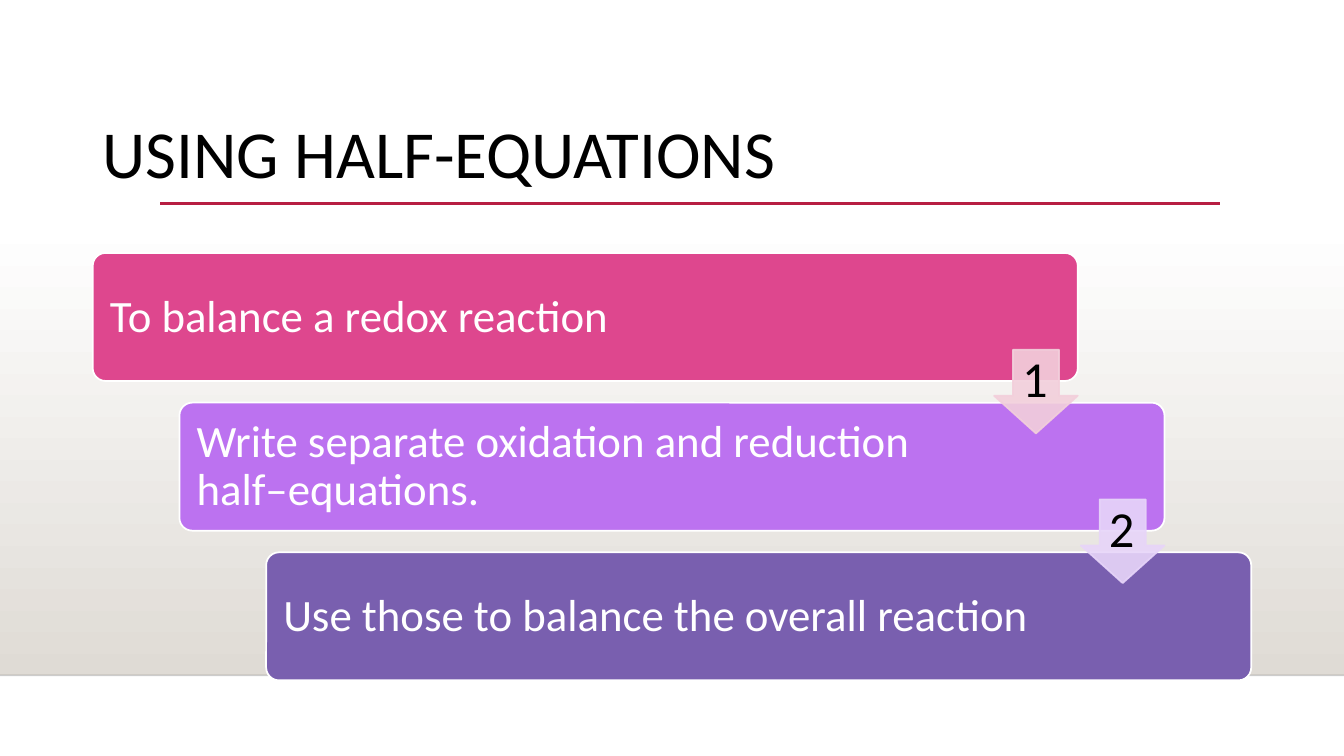
import pptx
import pptx.util
import pptx.dml.color
import pptx.enum.shapes
import pptx.enum.text
import pptx.oxml
import pptx.oxml.ns

Inches = pptx.util.Inches
Pt = pptx.util.Pt
RGBColor = pptx.dml.color.RGBColor
SHAPE = pptx.enum.shapes.MSO_SHAPE
ANCHOR = pptx.enum.text.MSO_ANCHOR
ALIGN = pptx.enum.text.PP_ALIGN

WHITE = RGBColor(0xFF, 0xFF, 0xFF)
BLACK = RGBColor(0x00, 0x00, 0x00)
FLOOR = RGBColor(0xDF, 0xDB, 0xD5)
CRIMSON = RGBColor(0xB7, 0x1E, 0x42)
PINK = RGBColor(0xDE, 0x47, 0x8E)
VIOLET = RGBColor(0xBC, 0x72, 0xF0)
PURPLE = RGBColor(0x79, 0x5F, 0xAF)
PALE_PINK = RGBColor(0xF2, 0xCF, 0xDB)
PALE_VIOLET = RGBColor(0xE7, 0xD5, 0xF9)

STEPS = [
    ("To balance a redox reaction", PINK, 8.39),
    ("Write separate oxidation and reduction half–equations.", VIOLET, 8),
    ("Use those to balance the overall reaction", PURPLE, 8),
]
ARROWS = [("1", PALE_PINK), ("2", PALE_VIOLET)]
STEP_WIDTH, STEP_HEIGHT = 9.77, 1.27
SHIFT_X, SHIFT_Y = 0.86, 1.485
ARROW_SIZE = 0.83


def set_opacity(color_format, percent):
    parent = color_format.find(".//" + pptx.oxml.ns.qn("a:srgbClr"))
    alpha = pptx.oxml.parse_xml(
        f'<a:alpha {pptx.oxml.ns.nsdecls("a")} val="{percent * 1000}"/>')
    parent.append(alpha)


def add_rule(page, left, right, top, color, width, opacity=100):
    rule = page.shapes.add_connector(
        pptx.enum.shapes.MSO_CONNECTOR.STRAIGHT,
        Inches(left), Inches(top), Inches(right), Inches(top))
    rule.line.color.rgb = color
    rule.line.width = Pt(width)
    properties = rule._element.spPr
    if opacity < 100:
        set_opacity(properties.find(pptx.oxml.ns.qn("a:ln")), opacity)
    properties.append(pptx.oxml.parse_xml(
        f'<a:effectLst {pptx.oxml.ns.nsdecls("a")}/>'))


def add_shape(page, kind, left, top, width, height, fill, line, adjustments):
    shape = page.shapes.add_shape(
        kind, Inches(left), Inches(top), Inches(width), Inches(height))
    shape.shadow.inherit = False
    for index, value in enumerate(adjustments):
        shape.adjustments[index] = value
    shape.fill.solid()
    shape.fill.fore_color.rgb = fill
    shape.line.color.rgb = line
    shape.line.width = Pt(1.25)
    return shape


def add_text(page, left, top, width, height, text, size, color,
             inset, anchor=ANCHOR.MIDDLE, align=ALIGN.LEFT):
    box = page.shapes.add_textbox(
        Inches(left), Inches(top), Inches(width), Inches(height))
    frame = box.text_frame
    frame.word_wrap = True
    frame.vertical_anchor = anchor
    frame.margin_left = frame.margin_right = Inches(inset)
    frame.margin_top = frame.margin_bottom = Inches(min(inset, 0.13))
    para = frame.paragraphs[0]
    para.text = text
    para.alignment = align
    para.line_spacing = 0.9
    para.font.name = "Calibri"
    para.font.size = Pt(size)
    para.font.color.rgb = color


def add_backdrop(page, left, top, width, height):
    band = page.shapes.add_shape(
        SHAPE.RECTANGLE, Inches(left), Inches(top), Inches(width), Inches(height))
    band.shadow.inherit = False
    band.line.fill.background()
    band.fill.gradient()
    band.fill.gradient_angle = 270
    for stop, color in zip(band.fill.gradient_stops, (WHITE, FLOOR)):
        stop.color.rgb = color
    band.fill.gradient_stops[0].position = 0
    band.fill.gradient_stops[1].position = 1
    add_rule(page, left, left + width, top + height, BLACK, 1, opacity=20)


def add_title(page, left, top, width, height):
    add_rule(page, left + 0.67, left + 11.18, top + height, CRIMSON, 2.5)
    add_text(page, left, top, width, height, "USING HALF-EQUATIONS", 48, BLACK,
             inset=0.1, anchor=ANCHOR.BOTTOM)


def add_staircase(page, left, top):
    for index, (text, color, text_width) in enumerate(STEPS):
        x, y = left + index * SHIFT_X, top + index * SHIFT_Y
        add_shape(page, SHAPE.ROUNDED_RECTANGLE, x, y, STEP_WIDTH, STEP_HEIGHT,
                  color, WHITE, [0.1])
        add_text(page, x + 0.04, y + 0.04, text_width, 1.2, text, 32, WHITE,
                 inset=0.13)
    for index, (number, color) in enumerate(ARROWS):
        x = left + index * SHIFT_X + STEP_WIDTH - ARROW_SIZE
        y = top + index * SHIFT_Y + 0.96
        arrow = add_shape(page, SHAPE.DOWN_ARROW, x, y, ARROW_SIZE, ARROW_SIZE,
                          color, color, [0.55, 0.45])
        properties = arrow._element.spPr
        for tag in ("a:solidFill", "a:ln"):
            set_opacity(properties.find(pptx.oxml.ns.qn(tag)), 90)
        add_text(page, x + 0.18, y, 0.45, 0.62, number, 36, BLACK,
                 inset=0.05, align=ALIGN.CENTER)


def main():
    deck = pptx.Presentation()
    deck.slide_width = Inches(13.33)
    deck.slide_height = Inches(7.5)
    page = deck.slides.add_slide(deck.slide_layouts[6])
    add_backdrop(page, 0, 2.21, 13.33, 4.49)
    add_title(page, 0.92, 0.75, 11.49, 1.27)
    add_staircase(page, 0.92, 2.51)
    deck.save("out.pptx")


if __name__ == "__main__":
    main()
